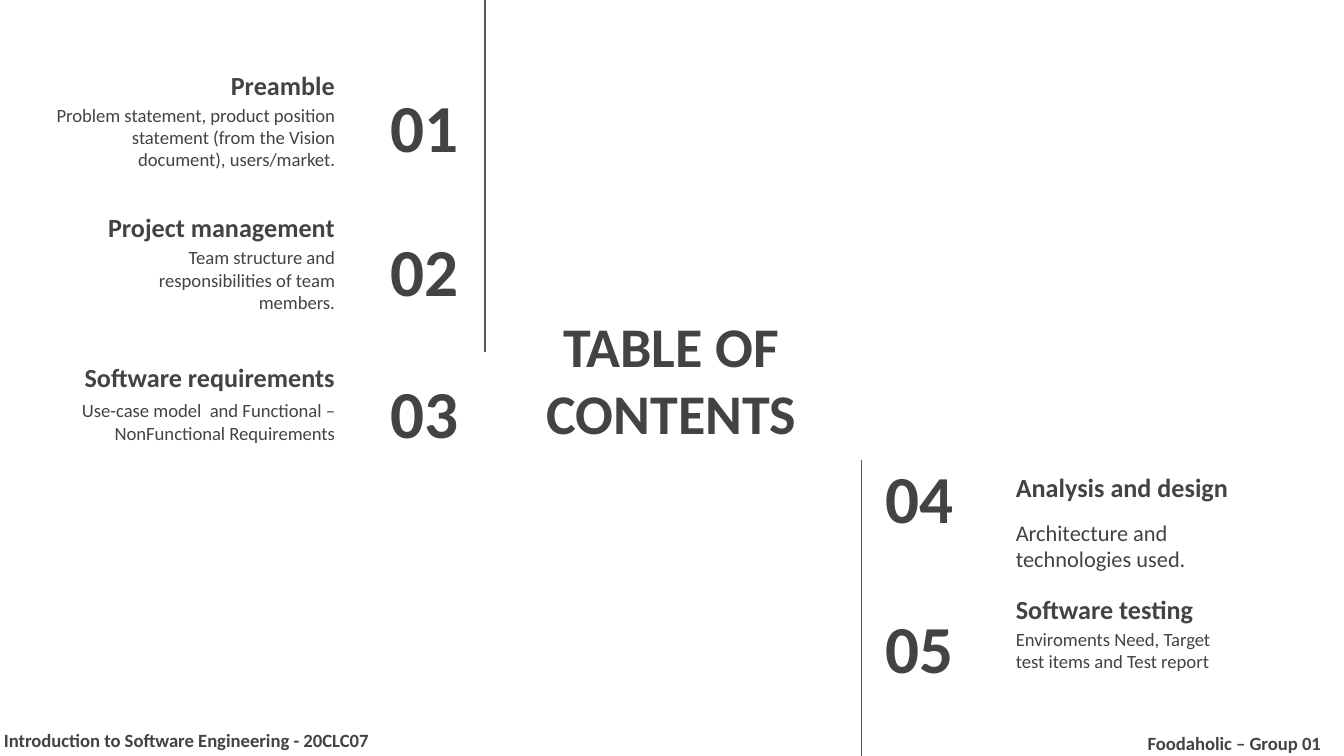
import pptx
import pptx.dml.color
import pptx.enum.shapes
import pptx.enum.text
import pptx.oxml.ns
import pptx.util
from lxml import etree

Pt = pptx.util.Pt
RGB = pptx.dml.color.RGBColor
ALIGN = pptx.enum.text.PP_ALIGN
ANCHOR = pptx.enum.text.MSO_ANCHOR

THEME = {
    "font": "Calibri",
    "text": RGB(0x43, 0x43, 0x43),
    "rule": RGB(0x59, 0x59, 0x59),
    "title": 30, "number": 36, "heading": 14, "body": 10, "body_large": 12,
}

prs = pptx.Presentation()
prs.slide_width, prs.slide_height = Pt(720), Pt(405)
s = prs.slides.add_slide(prs.slide_layouts[5])


def put_text(text, left, top, width, height, size, bold=True,
             align=ALIGN.LEFT, anchor=ANCHOR.BOTTOM, sp=None):
    """Write text into sp, or into a new text box."""
    if sp is None:
        sp = s.shapes.add_textbox(0, 0, 0, 0)
    sp.left, sp.top, sp.width, sp.height = Pt(left), Pt(top), Pt(width), Pt(height)
    tf = sp.text_frame
    tf.word_wrap = True
    tf.auto_size = pptx.enum.text.MSO_AUTO_SIZE.NONE
    tf.vertical_anchor = anchor
    tf.margin_left = tf.margin_right = tf.margin_top = tf.margin_bottom = Pt(7.2)
    p = tf.paragraphs[0]
    p.alignment = align
    r = p.add_run()
    r.text = text
    r.font.name = THEME["font"]
    r.font.size = Pt(size)
    r.font.bold = bold
    r.font.color.rgb = THEME["text"]


# Title
put_text("TABLE OF CONTENTS", 266.4, 165.6, 186.5, 74.2, THEME["title"],
         align=ALIGN.CENTER, anchor=ANCHOR.MIDDLE, sp=s.shapes.title)

# Entries: number, heading, body, number top, heading bottom, body top, body width, body size
BOX_H = 45.4
NUMBER_W, HEADING_W = 87, 171.4
left_entries = [
    ("01", "Preamble",
     "Problem statement, product position statement (from the Vision document), users/market.",
     44.6, 61.2, 48.2, 167.8, THEME["body"]),
    ("02", "Project management", "Team structure and responsibilities of team members.",
     121.7, 137.5, 124.6, 131.8, THEME["body"]),
    ("03", "Software requirements",
     "Use-case model  and Functional – NonFunctional Requirements",
     198, 217.4, 206.6, 159.1, THEME["body"]),
]
right_entries = [
    ("04", "Analysis and design", "Architecture and technologies used.",
     243.4, 276.5, 270.7, 131.8, THEME["body_large"]),
    ("05", "Software testing", "Enviroments Need, Target test items and Test report",
     324, 342, 329, 131.8, THEME["body"]),
]

# Each side: entries, alignment, number edge, text edge, share of width left of the edge
sides = [
    (left_entries, ALIGN.RIGHT, 253, 186.5, 1),
    (right_entries, ALIGN.LEFT, 467.3, 537.1, 0),
]
for entries, align, number_x, text_x, shift in sides:
    for number, heading, body, number_y, heading_y, body_y, body_w, body_size in entries:
        put_text(number, number_x - shift * NUMBER_W, number_y, NUMBER_W, BOX_H,
                 THEME["number"], align=align, anchor=ANCHOR.MIDDLE)
        put_text(heading, text_x - shift * HEADING_W, heading_y - BOX_H, HEADING_W, BOX_H,
                 THEME["heading"], align=align)
        put_text(body, text_x - shift * body_w, body_y, body_w, BOX_H,
                 body_size, bold=False, align=align, anchor=ANCHOR.TOP)

# Vertical rules
for x, top, bottom in [(259.9, 0, 188.6), (461.5, 246.2, 405)]:
    rule = s.shapes.add_connector(pptx.enum.shapes.MSO_CONNECTOR.STRAIGHT,
                                  Pt(x), Pt(top), Pt(x), Pt(bottom))
    rule.line.color.rgb = THEME["rule"]
    rule.line.width = Pt(0.75)
    etree.SubElement(rule._element.spPr, pptx.oxml.ns.qn("a:effectLst"))

# Footer
put_text("Introduction to Software Engineering - 20CLC07", -5, 384.5, 244.8, 25.2, THEME["body"])
put_text("Foodaholic – Group 01", 607.7, 385.9, 118.8, 25.2, THEME["body"])

prs.save("out.pptx")
